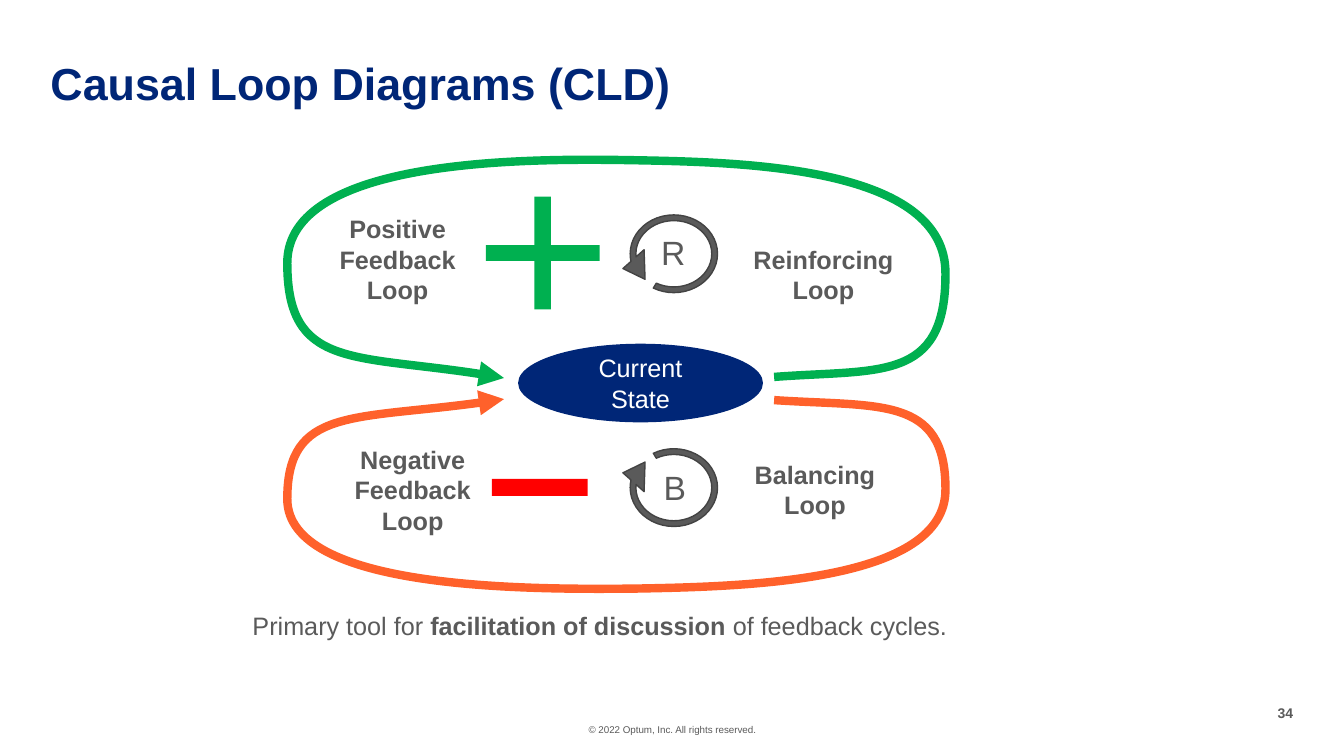
from lxml.etree import SubElement
from pptx import Presentation
from pptx.dml.color import RGBColor
from pptx.enum.shapes import MSO_SHAPE
from pptx.enum.text import MSO_ANCHOR, MSO_AUTO_SIZE, PP_ALIGN
from pptx.oxml.ns import qn
from pptx.util import Inches, Pt

COLORS = {
    "navy": "002677", "gray": "5A5A5A", "outline": "434343", "white": "FFFFFF",
    "green": "00B050", "orange": "FF612B", "red": "FF0000",
}
COLUMNS, ROWS = 80, 45

# Both loops share their horizontal course; only the heights differ.
LOOP_X = [46.08, 52.32, 56.28, 56.28, 56.34, 44.28, 37.74,
          31.2, 17.1, 17.1, 17.1, 21.48, 30]
POSITIVE_Y = [22.44, 21.96, 22.8, 16.32, 9.9, 9.66, 9.54,
              9.42, 9.42, 15.66, 21.96, 21, 22.5]
NEGATIVE_Y = [23.82, 24.24, 23.52, 29.1, 34.68, 34.92, 35.04,
              35.1, 35.1, 29.7, 24.24, 25.08, 23.76]
TURN_ARROW = [0.057, 20.398, 4.571, 35.494, 0.141]


class SlideBuilder:
    """Draws styled elements on one slide, measured in grid columns and rows."""

    font = "Arial"

    def __init__(self, prs):
        self.slide = prs.slides.add_slide(prs.slide_layouts[6])
        self.column = prs.slide_width / COLUMNS
        self.row = prs.slide_height / ROWS

    def point(self, x, y):
        return round(x * self.column), round(y * self.row)

    def box(self, x, y, w, h):
        return self.point(x, y) + self.point(w, h)

    def color(self, name):
        return RGBColor.from_string(COLORS[name])

    def add_lines(self, tf, lines, size, color, align, bold=False, spacing=None):
        """Each line is a string, or a list of (text, bold) runs."""
        for i, line in enumerate(lines):
            p = tf.paragraphs[0] if i == 0 else tf.add_paragraph()
            p.alignment = align
            if spacing:
                p.line_spacing = spacing
            for text, strong in [(line, bold)] if isinstance(line, str) else line:
                r = p.add_run()
                r.text = text
                r.font.name = self.font
                r.font.size = Pt(size)
                r.font.bold = strong
                r.font.color.rgb = self.color(color)

    def text(self, area, lines, size=18, color="gray", align=PP_ALIGN.CENTER,
             bold=False, wrap=False, inset=True, grow=True, spacing=None):
        tf = self.slide.shapes.add_textbox(*self.box(*area)).text_frame
        tf.word_wrap = wrap
        tf.auto_size = MSO_AUTO_SIZE.SHAPE_TO_FIT_TEXT if grow else MSO_AUTO_SIZE.NONE
        if not inset:
            tf.margin_left = tf.margin_top = tf.margin_right = tf.margin_bottom = 0
        self.add_lines(tf, lines, size, color, align, bold, spacing)

    def shape(self, kind, area, fill, adjust=(), line=None, flips=()):
        sp = self.slide.shapes.add_shape(kind, *self.box(*area))
        sp.shadow.inherit = False
        sp.fill.solid()
        sp.fill.fore_color.rgb = self.color(fill)
        if line:
            sp.line.color.rgb = self.color(line)
            sp.line.width = Pt(1)
        else:
            sp.line.fill.background()
        for i, value in enumerate(adjust):
            sp.adjustments[i] = value
        for flip in flips:
            sp._element.spPr.xfrm.set(flip, "1")
        return sp

    def ellipse(self, area, lines, fill):
        tf = self.shape(MSO_SHAPE.OVAL, area, fill).text_frame
        tf.vertical_anchor = MSO_ANCHOR.MIDDLE
        self.add_lines(tf, lines, 18, "white", PP_ALIGN.CENTER)

    def loop(self, xs, ys, color):
        """Arrow along cubic curves: a start point, then three points a curve."""
        start, *controls = [self.point(x, y) for x, y in zip(xs, ys)]
        outline = self.slide.shapes.build_freeform(*start)
        outline.add_line_segments(controls, close=False)
        sp = outline.convert_to_shape()
        sp.shadow.inherit = False
        sp.fill.background()
        sp.line.color.rgb = self.color(color)
        sp.line.width = Pt(6)
        SubElement(sp._element.spPr.find(qn("a:ln")), qn("a:tailEnd"), type="triangle")
        course = sp._element.xpath(".//a:path")[0]
        segments = course.findall(qn("a:lnTo"))
        for i in range(0, len(segments), 3):
            curve = SubElement(course, qn("a:cubicBezTo"))
            for segment in segments[i:i + 3]:
                curve.append(segment[0])
                course.remove(segment)


def main():
    prs = Presentation()
    prs.slide_width, prs.slide_height = Inches(13.333), Inches(7.5)
    s = SlideBuilder(prs)

    s.text((30.84, 43.08, 18.36, 0.72), ["© 2022 Optum, Inc. All rights reserved."],
           size=7, wrap=True, inset=False)
    s.text((75.96, 41.94, 1.02, 1.02), ["34"], size=10, bold=True,
           align=PP_ALIGN.RIGHT, inset=False)
    s.text((3, 3.66, 63, 2.88), ["Causal Loop Diagrams (CLD)"], size=32,
           color="navy", bold=True, align=PP_ALIGN.LEFT, wrap=True,
           inset=False, spacing=0.9)
    s.text((13.08, 36.3, 45.24, 3.36),
           [[("Primary tool for ", False), ("facilitation of discussion ", True),
             ("of feedback cycles.", False)]],
           wrap=True, inset=False, grow=False)

    s.ellipse((30.84, 20.46, 14.58, 4.68), ["Current", "State"], "navy")
    s.loop(LOOP_X, POSITIVE_Y, "green")
    s.loop(LOOP_X, NEGATIVE_Y, "orange")

    s.shape(MSO_SHAPE.CROSS, (28.92, 11.7, 6.78, 6.72), "green", [0.431])
    s.shape(MSO_SHAPE.RECTANGLE, (29.28, 28.5, 5.7, 1.02), "red")
    for top, flips in ((12.12, ["flipH"]), (26.04, ["flipH", "flipV"])):
        s.shape(MSO_SHAPE.CIRCULAR_ARROW, (36.84, top, 6.54, 5.97), "gray",
                TURN_ARROW, "outline", flips)
    s.text((37.74, 13.5, 4.68, 3), ["R"], size=24)
    s.text((38.88, 27.48, 2.58, 3), ["B"], size=24)

    for area, lines in (
        ((19.56, 12.42, 8.22, 6.06), ["Positive", "Feedback", "Loop"]),
        ((20.46, 26.16, 8.22, 6.06), ["Negative", "Feedback", "Loop"]),
        ((44.22, 14.22, 9.6, 4.26), ["Reinforcing", "Loop"]),
        ((44.28, 27.06, 8.46, 4.26), ["Balancing", "Loop"]),
    ):
        s.text(area, lines, bold=True)

    prs.save("out.pptx")


if __name__ == "__main__":
    main()
